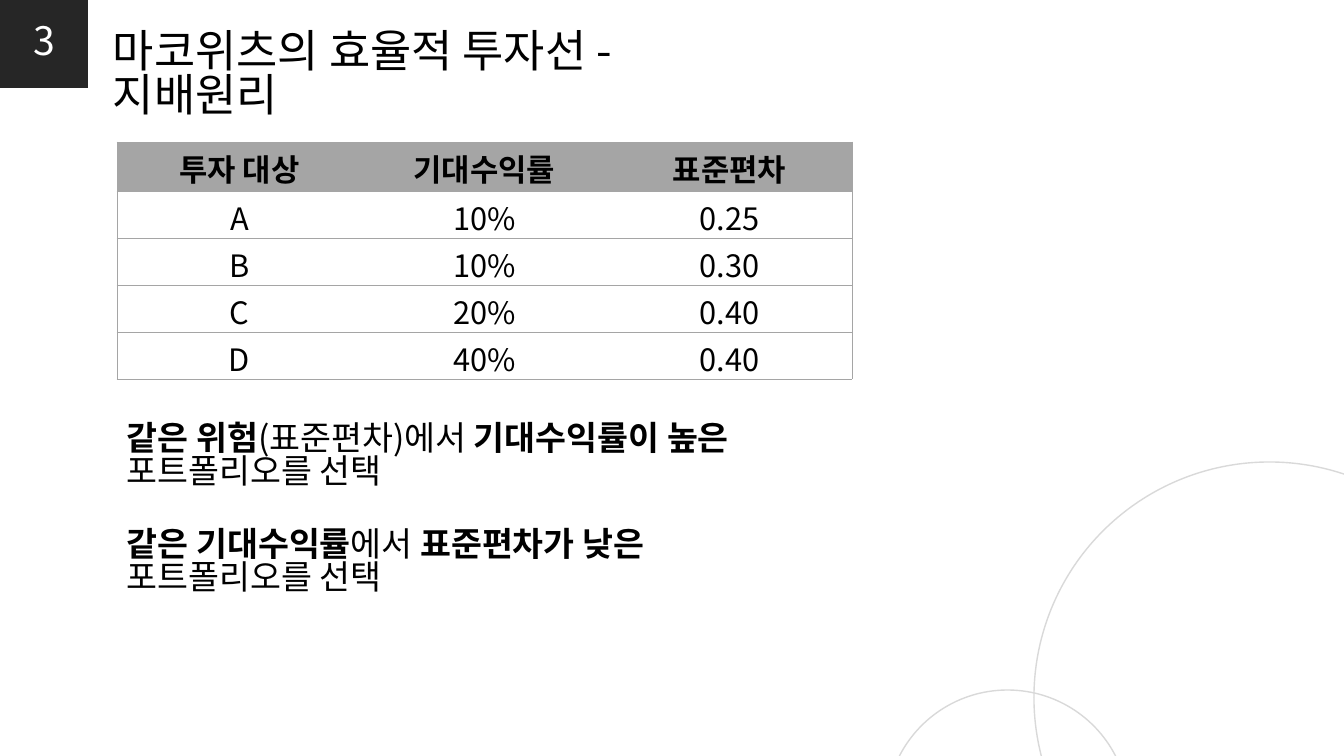
from lxml import etree
from pptx import Presentation
from pptx.dml.color import RGBColor
from pptx.enum.shapes import MSO_SHAPE
from pptx.enum.text import MSO_ANCHOR, PP_ALIGN
from pptx.oxml.ns import qn
from pptx.util import Pt

RECTANGLE, OVAL = MSO_SHAPE.RECTANGLE, MSO_SHAPE.OVAL
LEFT, CENTER = PP_ALIGN.LEFT, PP_ALIGN.CENTER
MIDDLE = MSO_ANCHOR.MIDDLE
EMU_PER_PX = 914400 / 100.8
FONT = "Noto Sans CJK KR"
LINE_SPACING = 0.82
COLORS = {"ink": "000000", "paper": "FFFFFF", "badge": "262626",
          "ring": "D9D9D9", "grid": "A5A5A5"}


def px(length):
    return round(length * EMU_PER_PX)


def color(name):
    return RGBColor.from_string(COLORS[name])


class SlideBuilder:
    def __init__(self, slide):
        self.shapes = slide.shapes

    def add_runs(self, paragraph, runs, size, ink="ink", align=LEFT):
        paragraph.alignment = align
        paragraph.line_spacing = LINE_SPACING
        for words, bold in runs:
            run = paragraph.add_run()
            run.text = words
            run.font.size = Pt(size)
            run.font.bold = bold
            run.font.name = FONT
            run.font.color.rgb = color(ink)
            east_asian = etree.SubElement(run.font._element, qn("a:ea"))
            east_asian.set("typeface", FONT)

    def ring(self, left, top, diameter):
        ring = self.shapes.add_shape(OVAL, px(left), px(top), px(diameter), px(diameter))
        ring.shadow.inherit = False
        ring.fill.background()
        ring.line.color.rgb = color("ring")
        ring.line.width = Pt(1)

    def badge(self, number, side):
        badge = self.shapes.add_shape(RECTANGLE, 0, 0, px(side), px(side))
        badge.shadow.inherit = False
        badge.fill.solid()
        badge.fill.fore_color.rgb = color("badge")
        badge.line.fill.background()
        badge.text_frame.vertical_anchor = MIDDLE
        self.add_runs(badge.text_frame.paragraphs[0], [(number, False)], 28, "paper", CENTER)

    def text(self, left, top, width, height, paragraphs, size, gap=0):
        frame = self.shapes.add_textbox(px(left), px(top), px(width), px(height)).text_frame
        frame.word_wrap = True
        for index, runs in enumerate(paragraphs):
            paragraph = frame.add_paragraph() if index else frame.paragraphs[0]
            if index:
                paragraph.space_before = px(gap)
            self.add_runs(paragraph, runs, size)

    def borders(self, cell, visible):
        properties = cell._tc.get_or_add_tcPr()
        for position, side in enumerate("LRTB"):
            border = etree.Element(qn(f"a:ln{side}"), w=str(Pt(0.5)))
            if side in visible:
                fill = etree.SubElement(border, qn("a:solidFill"))
                etree.SubElement(fill, qn("a:srgbClr"), val=COLORS["grid"])
            else:
                etree.SubElement(border, qn("a:noFill"))
            properties.insert(position, border)

    def table(self, left, top, column_width, header_height, row_height, rows, size):
        columns = len(rows[0])
        height = header_height + row_height * (len(rows) - 1)
        table = self.shapes.add_table(len(rows), columns, px(left), px(top),
                                      px(column_width * columns), px(height)).table
        table.horz_banding = False
        for column in table.columns:
            column.width = px(column_width)
        for r, values in enumerate(rows):
            table.rows[r].height = px(row_height if r else header_height)
            for c, value in enumerate(values):
                cell = table.cell(r, c)
                cell.margin_top, cell.margin_bottom = px(10), 0
                if r:
                    cell.fill.background()
                else:
                    cell.fill.solid()
                    cell.fill.fore_color.rgb = color("grid")
                self.add_runs(cell.text_frame.paragraphs[0], [(value, r == 0)], size, align=CENTER)
                outer = ("L" if c == 0 else "") + ("R" if c == columns - 1 else "")
                self.borders(cell, "TB" + outer)


def main():
    presentation = Presentation()
    presentation.slide_width, presentation.slide_height = px(1344), px(756)
    builder = SlideBuilder(presentation.slides.add_slide(presentation.slide_layouts[6]))

    builder.ring(1034, 462, 471)
    builder.ring(886, 690, 243)
    builder.badge("3", 88)
    builder.text(103, 27, 680, 117, [[("마코위츠의 효율적 투자선 - 지배원리", False)]], 32)

    investments = [
        ("투자 대상", "기대수익률", "표준편차"),
        ("A", "10%", "0.25"),
        ("B", "10%", "0.30"),
        ("C", "20%", "0.40"),
        ("D", "40%", "0.40"),
    ]
    builder.table(117, 142, 245, 49, 47, investments, 22)

    dominance_rules = [
        [("같은 위험", True), ("(표준편차)에서 ", False),
         ("기대수익률이 높은", True), (" 포트폴리오를 선택", False)],
        [("같은 기대수익률", True), ("에서 ", False),
         ("표준편차가 낮은", True), (" 포트폴리오를 선택", False)],
    ]
    builder.text(117, 419, 708, 214, dominance_rules, 24, gap=40)

    presentation.save("out.pptx")


if __name__ == "__main__":
    main()
